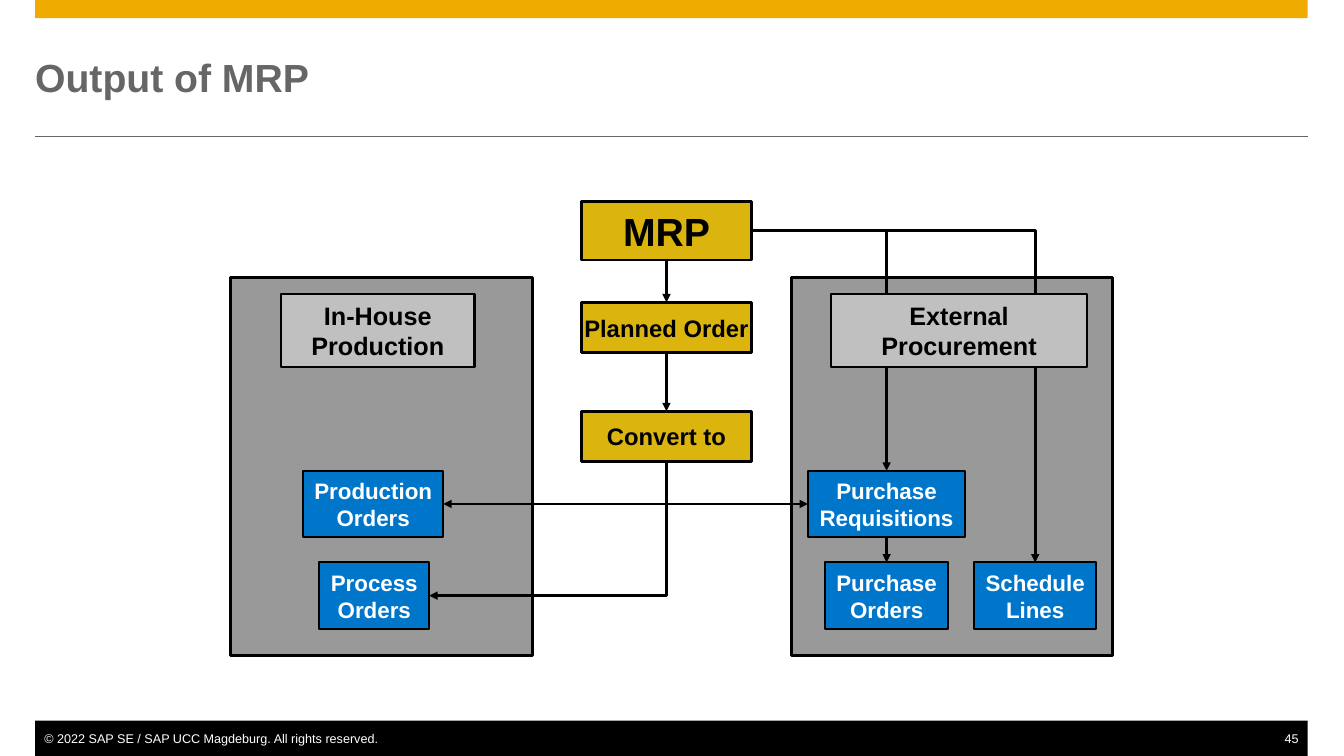
from pptx import Presentation
from pptx.dml.color import RGBColor
from pptx.enum.shapes import MSO_CONNECTOR, MSO_SHAPE
from pptx.enum.text import MSO_ANCHOR, PP_ALIGN
from pptx.oxml.ns import qn
from pptx.util import Inches, Pt
from lxml import etree

RECT = MSO_SHAPE.RECTANGLE
STRAIGHT, ELBOW = MSO_CONNECTOR.STRAIGHT, MSO_CONNECTOR.ELBOW
LEFT, CENTER, RIGHT = PP_ALIGN.LEFT, PP_ALIGN.CENTER, PP_ALIGN.RIGHT
MIDDLE = MSO_ANCHOR.MIDDLE
BLACK = RGBColor(0x00, 0x00, 0x00)
WHITE = RGBColor(0xFF, 0xFF, 0xFF)
ORANGE = RGBColor(0xF0, 0xAB, 0x00)
GOLD = RGBColor(0xDB, 0xB4, 0x0D)
DARK_GRAY = RGBColor(0x66, 0x66, 0x66)
GRAY = RGBColor(0x99, 0x99, 0x99)
SILVER = RGBColor(0xC0, 0xC0, 0xC0)
BLUE = RGBColor(0x00, 0x76, 0xCB)
FONT = "Arial"
MARGIN, CONTENT_WIDTH = 0.35, 12.63

# text, (left, top, width, height), size, bold, colour, alignment, (left, right) inset
TEXTS = [
    ("Output of MRP", (MARGIN, 0.35, CONTENT_WIDTH, 0.83), 28, True, DARK_GRAY, LEFT, (0, 0)),
    ("© 2022 SAP SE / SAP UCC Magdeburg. All rights reserved.",
     (MARGIN, 7.25, 3.45, 0.15), 9, False, WHITE, LEFT, (0.09, 0)),
    ("45", (12.73, 7.25, 0.25, 0.15), 9, False, WHITE, RIGHT, (0, 0.09)),
]
BARS = [(0, 0.18, ORANGE), (7.15, 0.35, BLACK)]  # top, height, fill
PANELS = [(2.29, 2.75, 3, 3.75), (7.86, 2.75, 3.18, 3.75)]

# style: fill, outline width, text colour
STEP = (GOLD, 2, BLACK)
HEADING = (SILVER, 1.5, BLACK)
RESULT = (BLUE, 1.5, WHITE)
# lines of text, (left, top, width, height), size, style
BOXES = {
    "mrp": (["MRP"], (5.77, 2, 1.69, 0.58), 28, STEP),
    "planned": (["Planned Order"], (5.77, 3, 1.69, 0.5), 17, STEP),
    "convert": (["Convert to"], (5.77, 4.08, 1.69, 0.5), 17, STEP),
    "in_house": (["In-House", "Production"], (2.79, 2.92, 1.92, 0.72), 18, HEADING),
    "production": (["Production", "Orders"], (3.01, 4.67, 1.39, 0.66), 16, RESULT),
    "process": (["Process", "Orders"], (3.17, 5.58, 1.09, 0.66), 16, RESULT),
    "requisitions": (["Purchase", "Requisitions"], (8.02, 4.67, 1.56, 0.66), 16, RESULT),
    "purchase": (["Purchase", "Orders"], (8.19, 5.58, 1.22, 0.66), 16, RESULT),
    "schedule": (["Schedule", "Lines"], (9.67, 5.58, 1.21, 0.66), 16, RESULT),
}
# Drawn last, so that the arrows pass behind it
EXTERNAL = (["External", "Procurement"], (8.25, 2.92, 2.54, 0.72), 18, HEADING)

TOP_SITE, LEFT_SITE, BOTTOM_SITE, RIGHT_SITE = range(4)
# begin box and site, end box and site, kind, end that carries the arrowhead;
# an elbow leaves its begin box sideways and meets its end box vertically
ARROWS = [
    ("mrp", BOTTOM_SITE, "planned", TOP_SITE, STRAIGHT, "tailEnd"),
    ("planned", BOTTOM_SITE, "convert", TOP_SITE, STRAIGHT, "tailEnd"),
    ("requisitions", BOTTOM_SITE, "purchase", TOP_SITE, STRAIGHT, "tailEnd"),
    ("mrp", RIGHT_SITE, "requisitions", TOP_SITE, ELBOW, "tailEnd"),
    ("mrp", RIGHT_SITE, "schedule", TOP_SITE, ELBOW, "tailEnd"),
    ("production", RIGHT_SITE, "convert", BOTTOM_SITE, ELBOW, "headEnd"),
    ("process", RIGHT_SITE, "convert", BOTTOM_SITE, ELBOW, "headEnd"),
    ("requisitions", LEFT_SITE, "convert", BOTTOM_SITE, ELBOW, "headEnd"),
]

prs = Presentation()
prs.slide_width, prs.slide_height = Inches(13.34), Inches(7.5)
slide = prs.slides.add_slide(prs.slide_layouts[6])
shapes = slide.shapes


def add_rect(place, fill, line_width=None):
    rect = shapes.add_shape(RECT, *map(Inches, place))
    rect.shadow.inherit = False
    rect.fill.solid()
    rect.fill.fore_color.rgb = fill
    if line_width:
        rect.line.color.rgb = BLACK
        rect.line.width = Pt(line_width)
    else:
        rect.line.fill.background()
    return rect


def write(frame, lines, size, bold, color, alignment):
    frame.vertical_anchor = MIDDLE
    for number, line in enumerate(lines):
        paragraph = frame.add_paragraph() if number else frame.paragraphs[0]
        paragraph.alignment = alignment
        run = paragraph.add_run()
        run.text = line
        for name, value in {"name": FONT, "size": Pt(size), "bold": bold}.items():
            setattr(run.font, name, value)
        run.font.color.rgb = color


def add_box(lines, place, size, style):
    fill, line_width, color = style
    box = add_rect(place, fill, line_width)
    box.text_frame.word_wrap = False
    write(box.text_frame, lines, size, True, color, CENTER)
    return box


def style_line(connector, color, width):
    connector.line.color.rgb = color
    connector.line.width = Pt(width)
    etree.SubElement(connector._element.spPr, qn("a:effectLst"))


def add_arrow(begin, begin_site, end, end_site, kind, arrow_end):
    arrow = shapes.add_connector(kind, 0, 0, 0, 0)
    arrow.begin_connect(begin, begin_site)
    arrow.end_connect(end, end_site)
    if kind == ELBOW:  # a single corner instead of two
        arrow._element.spPr.find(qn("a:prstGeom")).set("prst", "bentConnector2")
    style_line(arrow, BLACK, 2)
    etree.SubElement(arrow.line._get_or_add_ln(), qn("a:" + arrow_end), type="triangle")


for top, height, fill in BARS:
    add_rect((MARGIN, top, CONTENT_WIDTH, height), fill)
rule = shapes.add_connector(STRAIGHT, Inches(MARGIN), Inches(1.35),
                            Inches(MARGIN + CONTENT_WIDTH), Inches(1.35))
style_line(rule, DARK_GRAY, 0.5)

for text, place, size, bold, color, alignment, (inset_left, inset_right) in TEXTS:
    frame = shapes.add_textbox(*map(Inches, place)).text_frame
    frame.word_wrap = True
    frame.margin_left, frame.margin_right = Inches(inset_left), Inches(inset_right)
    frame.margin_top = frame.margin_bottom = 0
    write(frame, [text], size, bold, color, alignment)

for place in PANELS:
    add_rect(place, GRAY, 2)
boxes = {key: add_box(*box) for key, box in BOXES.items()}
for begin, begin_site, end, end_site, kind, arrow_end in ARROWS:
    add_arrow(boxes[begin], begin_site, boxes[end], end_site, kind, arrow_end)
add_box(*EXTERNAL)

prs.save("out.pptx")
